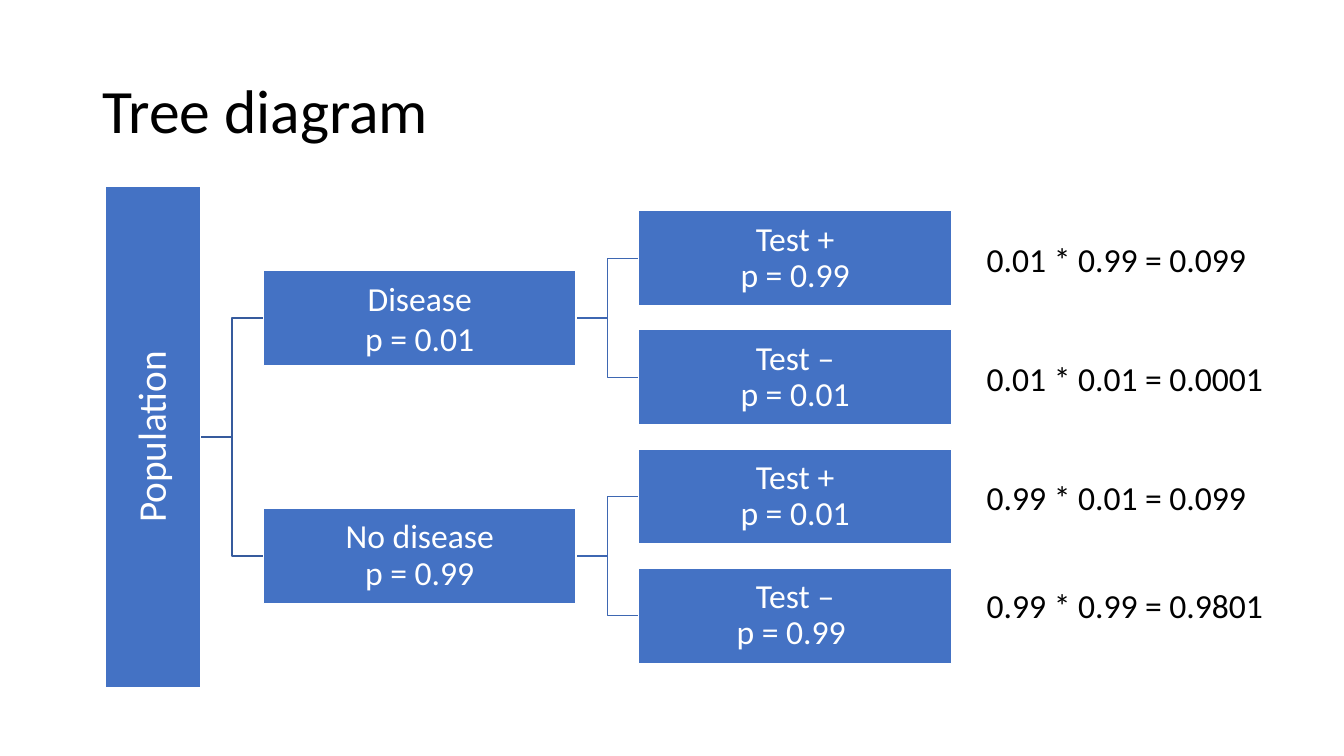
from pptx import Presentation
from pptx.dml.color import RGBColor
from pptx.enum.shapes import MSO_SHAPE
from pptx.enum.text import MSO_ANCHOR, PP_ALIGN
from pptx.util import Pt

COLORS = {"box": "4472C4", "white": "FFFFFF", "black": "000000",
          "trunk": "365B9D", "twig": "3E67B2"}
STEP = 85.1
TOP = 184.5
HIGH = 68.1
WIDE = 223.4
GAP = 44.7
ROOT_X = 143.4
STATE_X = ROOT_X + GAP
TEST_X = STATE_X + WIDE + GAP
STATES = [
    ("Disease\np = 0.01", 1, ["Test +\np = 0.99", "Test –\np = 0.01"]),
    ("No disease\np = 0.99", 0.9, ["Test +\np = 0.01", "Test –\np = 0.99 "]),
]
NOTES = [
    (167, "0.01 * 0.99 = 0.099"),
    (252, "0.01 * 0.01 = 0.0001"),
    (337, "0.99 * 0.01 = 0.099"),
    (414, "0.99 * 0.99 = 0.9801"),
]


def color(name):
    return RGBColor.from_string(COLORS[name])


def write(frame, text, size, ink, align=PP_ALIGN.LEFT, lead=1):
    frame.word_wrap = True
    frame.text = text
    for line in frame.paragraphs:
        line.alignment = align
        line.line_spacing = lead
        line.font.name = "Calibri"
        line.font.size = Pt(size)
        line.font.color.rgb = color(ink)


def add_text(slide, x, y, w, h, text, size, lead=1):
    frame = slide.shapes.add_textbox(Pt(x), Pt(y), Pt(w), Pt(h)).text_frame
    write(frame, text, size, "black", lead=lead)
    return frame


def add_box(slide, x, mid, text, lead=0.9, wide=WIDE, size=24):
    box = slide.shapes.add_shape(MSO_SHAPE.RECTANGLE, Pt(x), Pt(mid - HIGH / 2),
                                 Pt(wide), Pt(HIGH))
    box.shadow.inherit = False
    box.fill.solid()
    box.fill.fore_color.rgb = color("box")
    box.line.color.rgb = color("white")
    box.line.width = Pt(1)
    frame = box.text_frame
    frame.vertical_anchor = MSO_ANCHOR.MIDDLE
    frame.margin_left = frame.margin_right = Pt(1.5)
    frame.margin_top = frame.margin_bottom = Pt(1.5)
    write(frame, text, size, "white", PP_ALIGN.CENTER, lead)
    return box


def add_branch(slide, x, start, end, ink):
    bend = Pt(x + GAP / 2)
    path = slide.shapes.build_freeform(Pt(x), Pt(start))
    path.add_line_segments([(bend, Pt(start)), (bend, Pt(end)),
                            (Pt(x + GAP), Pt(end))], close=False)
    branch = path.convert_to_shape()
    branch.shadow.inherit = False
    branch.fill.background()
    branch.line.color.rgb = color(ink)
    branch.line.width = Pt(1)


def add_root(slide, mid):
    tall = 358.4
    x = ROOT_X - HIGH / 2 - tall / 2
    add_box(slide, x, mid, "Population", wide=tall, size=28).rotation = 270


def main():
    deck = Presentation()
    deck.slide_width, deck.slide_height = Pt(960), Pt(540)
    slide = deck.slides.add_slide(deck.slide_layouts[6])
    title = add_text(slide, 66, 28.75, 828, 104.4, "Tree diagram", 44, 0.9)
    title.vertical_anchor = MSO_ANCHOR.MIDDLE

    center = TOP + 1.5 * STEP
    for i, (state, lead, tests) in enumerate(STATES):
        mid = TOP + (2 * i + 0.5) * STEP
        add_branch(slide, ROOT_X, center, mid, "trunk")
        for j, test in enumerate(tests):
            end = TOP + (2 * i + j) * STEP
            add_branch(slide, STATE_X + WIDE, mid, end, "twig")
            add_box(slide, TEST_X, end, test)
        add_box(slide, STATE_X, mid, state, lead)
    add_root(slide, center)

    for y, note in NOTES:
        add_text(slide, 697.7, y, 232, 36, note, 24)
    deck.save("out.pptx")


if __name__ == "__main__":
    main()
